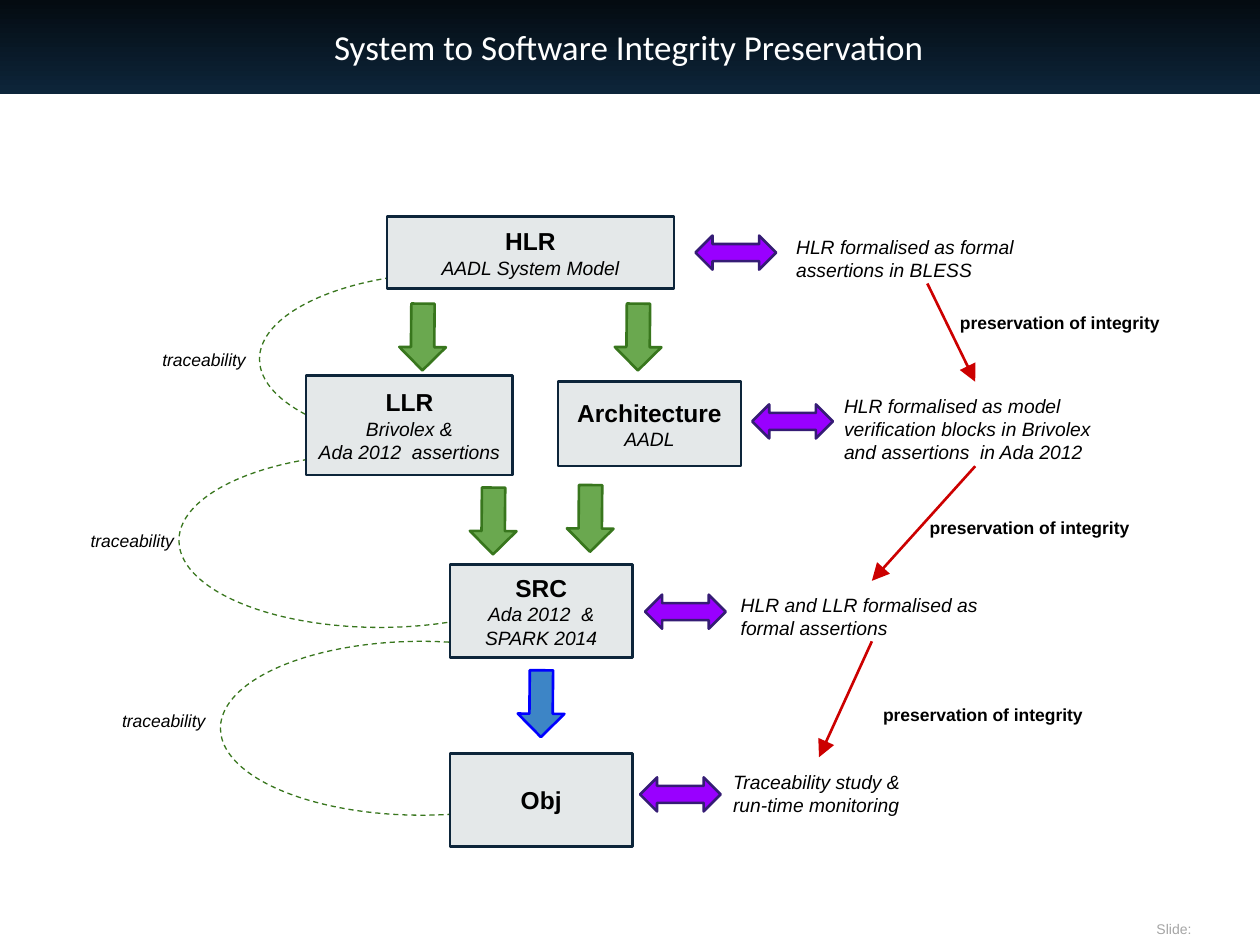
from pptx import Presentation
from pptx.dml.color import RGBColor
from pptx.enum.dml import MSO_LINE_DASH_STYLE as Dash
from pptx.enum.shapes import MSO_CONNECTOR as Connector, MSO_SHAPE as Shape
from pptx.enum.text import MSO_ANCHOR as Anchor, PP_ALIGN as Align
from pptx.oxml.ns import qn
from pptx.util import Inches, Pt
from lxml.etree import SubElement

BLACK = RGBColor(0x00, 0x00, 0x00)
WHITE = RGBColor(0xFF, 0xFF, 0xFF)
GREY = RGBColor(0xA5, 0xA5, 0xA5)
BAND_TOP = RGBColor(0x04, 0x0B, 0x11)
NAVY = RGBColor(0x0D, 0x25, 0x3A)
BOX_FILL = RGBColor(0xE4, 0xE8, 0xE9)
GREEN = RGBColor(0x6A, 0xA8, 0x4F)
DARK_GREEN = RGBColor(0x38, 0x76, 0x1D)
BLUE = RGBColor(0x3D, 0x85, 0xC6)
BRIGHT_BLUE = RGBColor(0x00, 0x00, 0xFF)
PURPLE = RGBColor(0x99, 0x00, 0xFF)
DARK_PURPLE = RGBColor(0x35, 0x1C, 0x75)
RED = RGBColor(0xCC, 0x00, 0x00)

BOTTOM, TOP = 2, 0  # connection sites

# Left, top, width, height, heading, detail lines
STAGES = [
    (3.07, 1.72, 2.28, 0.57, "HLR", ["AADL System Model"]),
    (2.43, 2.98, 1.64, 0.79, "LLR", ["Brivolex &", "Ada 2012  assertions"]),
    (4.43, 3.03, 1.45, 0.67, "Architecture", ["AADL"]),
    (3.57, 4.48, 1.45, 0.74, "SRC", ["Ada 2012  & SPARK 2014"]),
    (3.57, 5.98, 1.45, 0.74, "Obj", []),
]
# Left, top, start and end of the sweep
TRACE_ARCS = [
    (2.06, 2.16, 96.24, 138.72),
    (1.42, 3.6, 30.33, 138.72),
    (1.75, 5.09, 42.05, 174.24),
]
TRACE_LABELS = [(1.19, 2.69), (0.62, 4.12), (0.87, 5.55)]
GREEN_ARROWS = [(3.09, 2.49), (4.8, 2.49), (3.65, 3.95), (4.42, 3.93)]
BLUE_ARROW = (4.03, 5.4)
DOUBLE_ARROWS = [(5.52, 1.87), (5.97, 3.21), (5.12, 4.72), (5.08, 6.17)]
# Left, top, width, height, lines
NOTES = [
    (6.22, 1.77, 2.28, 0.48, ["HLR formalised as formal assertions in BLESS"]),
    (6.6, 3.03, 2.28, 0.67,
     ["HLR formalised as model verification blocks in Brivolex",
      "and assertions  in Ada 2012"]),
    (5.78, 4.61, 2.28, 0.48, ["HLR and LLR formalised as formal assertions"]),
    (5.72, 6.01, 1.56, 0.27, ["Traceability study & run-time monitoring"]),
]
INTEGRITY_LABELS = [(7.52, 2.39), (7.28, 4.02), (6.91, 5.5)]


def set_margins(frame, side=0.1, end=0.1):
    frame.word_wrap = True
    frame.margin_left = frame.margin_right = Inches(side)
    frame.margin_top = frame.margin_bottom = Inches(end)


def style_para(para, size, color=BLACK, name="Arial", bold=False,
               italic=False, align=Align.LEFT):
    para.alignment = align
    for run in para.runs:
        font = run.font
        font.name, font.size = name, Pt(size)
        font.bold, font.italic = bold, italic
        font.color.rgb = color


def add_text(slide, left, top, width, height, lines, size, end=0.1, **style):
    box = slide.shapes.add_textbox(
        Inches(left), Inches(top), Inches(width), Inches(height))
    frame = box.text_frame
    set_margins(frame, end=end)
    frame.text = "\n".join(lines)
    for para in frame.paragraphs:
        style_para(para, size, **style)
    return box


def add_outlined(slide, kind, left, top, width, height, fill, line, weight=1.5):
    shape = slide.shapes.add_shape(
        kind, Inches(left), Inches(top), Inches(width), Inches(height))
    shape.shadow.inherit = False
    if fill is None:
        shape.fill.background()
    else:
        shape.fill.solid()
        shape.fill.fore_color.rgb = fill
    shape.line.color.rgb = line
    shape.line.width = Pt(weight)
    return shape


def add_title(slide, text):
    title = slide.shapes.title
    title.left, title.top = Inches(0.17), Inches(0.08)
    title.width, title.height = Inches(9.64), Inches(0.58)
    frame = title.text_frame
    set_margins(frame)
    frame.vertical_anchor = Anchor.MIDDLE
    frame.text = text
    style_para(frame.paragraphs[0], 20, WHITE, "Calibri", align=Align.CENTER)

    # Gradient band, placed behind the title
    band = slide.shapes.add_shape(
        Shape.RECTANGLE, 0, 0, Inches(10), Inches(0.75))
    band.shadow.inherit = False
    band.line.fill.background()
    band.fill.gradient()
    band.fill.gradient_angle = 270
    for stop, color, position in zip(
            band.fill.gradient_stops, (BAND_TOP, NAVY), (0, 1)):
        stop.color.rgb = color
        stop.position = position
    title.element.addprevious(band.element)


def add_trace_arc(slide, left, top, start, end):
    arc = add_outlined(slide, Shape.ARC, left, top, 3.19, 1.38,
                       None, DARK_GREEN, 0.75)
    arc.adjustments[0], arc.adjustments[1] = start, end
    arc.line.dash_style = Dash.DASH


def add_stage(slide, left, top, width, height, heading, details):
    box = add_outlined(slide, Shape.RECTANGLE, left, top, width, height,
                       BOX_FILL, NAVY)
    frame = box.text_frame
    set_margins(frame)
    frame.vertical_anchor = Anchor.MIDDLE
    frame.text = "\n".join([heading, *details])
    first, *rest = frame.paragraphs
    style_para(first, 14, bold=True, align=Align.CENTER)
    for para in rest:
        style_para(para, 11, italic=True, align=Align.CENTER)


def add_down_arrow(slide, left, top, fill, line):
    arrow = add_outlined(slide, Shape.RIGHT_ARROW, left, top, 0.53, 0.37,
                         fill, line)
    arrow.rotation = 90.5


def add_integrity_arrow(slide, upper, lower):
    arrow = slide.shapes.add_connector(Connector.STRAIGHT, 0, 0, 0, 0)
    arrow.begin_connect(upper, BOTTOM)
    arrow.end_connect(lower, TOP)
    arrow.line.color.rgb = RED
    arrow.line.width = Pt(1.5)
    properties = arrow.element.spPr
    SubElement(properties.find(qn("a:ln")), qn("a:tailEnd"),
               type="triangle", w="lg", len="lg")
    SubElement(properties, qn("a:effectLst"))


def main():
    deck = Presentation()
    deck.slide_width, deck.slide_height = Inches(10), Inches(7.5)
    slide = deck.slides.add_slide(deck.slide_layouts[5])
    add_title(slide, "System to Software Integrity Preservation")

    # Traceability arcs run behind the stage boxes
    for arc in TRACE_ARCS:
        add_trace_arc(slide, *arc)
    for left, top in TRACE_LABELS:
        add_text(slide, left, top, 2.02, 0.27, ["traceability"], 10,
                 italic=True)

    # Development stages and the flow between them
    for stage in STAGES:
        add_stage(slide, *stage)
    for left, top in GREEN_ARROWS:
        add_down_arrow(slide, left, top, GREEN, DARK_GREEN)
    add_down_arrow(slide, *BLUE_ARROW, BLUE, BRIGHT_BLUE)

    # Formal notes beside the stages
    for left, top in DOUBLE_ARROWS:
        add_outlined(slide, Shape.LEFT_RIGHT_ARROW, left, top, 0.64, 0.27,
                     PURPLE, DARK_PURPLE)
    notes = [add_text(slide, *note, 11, italic=True) for note in NOTES]

    # Integrity preserved from note to note
    for upper, lower in zip(notes, notes[1:]):
        add_integrity_arrow(slide, upper, lower)
    for left, top in INTEGRITY_LABELS:
        add_text(slide, left, top, 2.02, 0.27, ["preservation of integrity"],
                 10, bold=True)

    # Footer
    add_text(slide, 9.08, 7.26, 0.91, 0.24, ["Slide:"], 8, end=0.05,
             color=GREY)
    deck.save("out.pptx")


if __name__ == "__main__":
    main()
